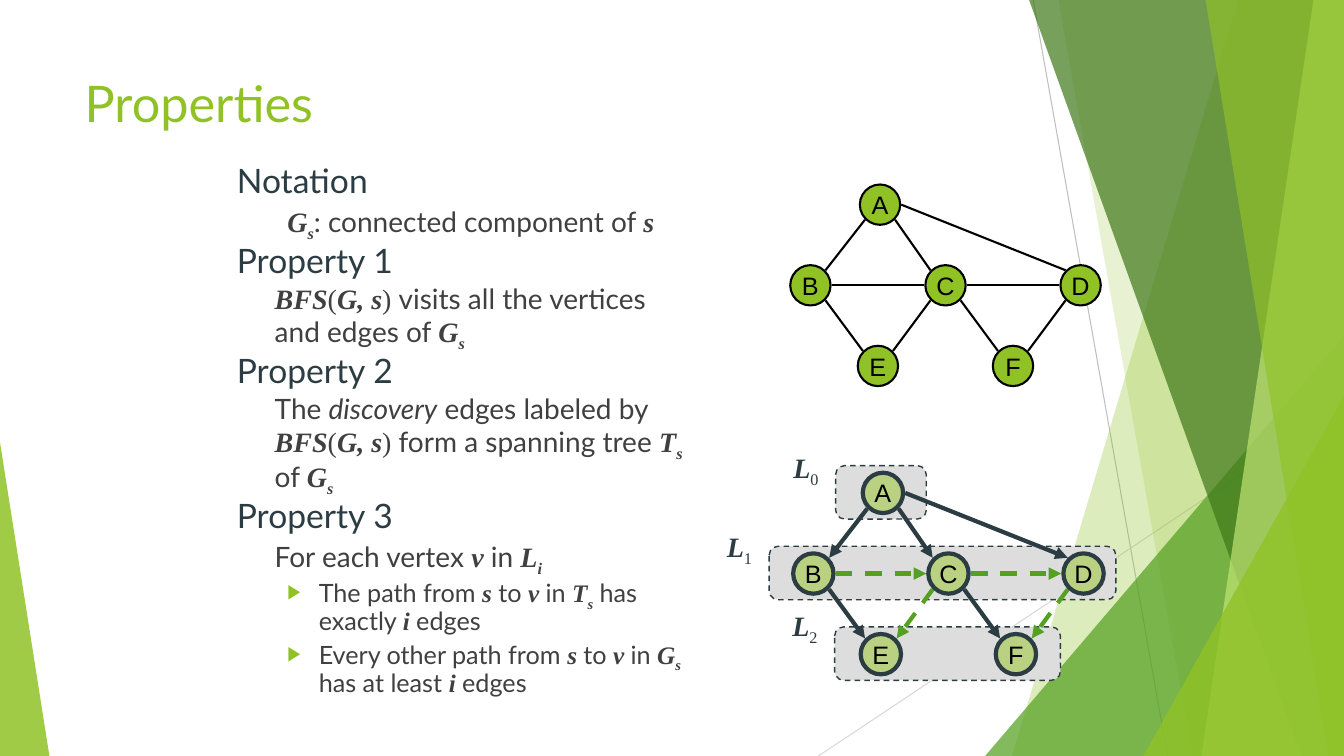
from lxml.etree import SubElement
from pptx import Presentation
from pptx.dml.color import RGBColor
from pptx.enum.dml import MSO_LINE
from pptx.enum.shapes import MSO_CONNECTOR, MSO_SHAPE
from pptx.enum.text import MSO_ANCHOR, MSO_AUTO_SIZE, PP_ALIGN
from pptx.oxml.ns import qn
from pptx.util import Pt

GREEN, LEAF, SLATE, BLACK = "90C226", "54A021", "2C3C43", "000000"
# Text style: font, bold, italic, baseline
STYLES = {
    "plain": ("Lato", False, False, 0),
    "italic": ("Lato", False, True, 0),
    "math": ("Times New Roman", True, True, 0),
    "sub": ("Times New Roman", True, True, -25000),
    "upright": ("Times New Roman", False, False, 0),
    "index": ("Times New Roman", False, False, -25000),
    "node": ("Arial", False, False, 0),
}


def color(value):
    return RGBColor.from_string(value)


class SlideBuilder:
    """Draws styled elements on one slide; all lengths are in points."""

    def __init__(self, presentation):
        self.slide = presentation.slides.add_slide(presentation.slide_layouts[1])
        self.shapes = self.slide.shapes

    def runs(self, paragraph, parts, size, ink):
        for text, style in parts:
            run = paragraph.add_run()
            run.text = text
            font = run.font
            font.name, font.bold, font.italic, baseline = STYLES[style]
            font.size = Pt(size)
            font.color.rgb = color(ink)
            if baseline:
                run._r.get_or_add_rPr().set("baseline", str(baseline))

    def paint(self, shape, fill, opacity=100, line=None, weight=1.0, dash=None):
        shape.shadow.inherit = False
        shape.fill.solid()
        shape.fill.fore_color.rgb = color(fill)
        if opacity < 100:
            fill_color = shape._element.spPr.find(qn("a:solidFill"))[0]
            SubElement(fill_color, qn("a:alpha"), val=str(opacity * 1000))
        if line is None:
            shape.line.fill.background()
            return
        shape.line.color.rgb = color(line)
        shape.line.width = Pt(weight)
        if dash:
            shape.line.dash_style = dash

    def preset(self, kind, left, top, width, height, adjust=None, **look):
        shape = self.shapes.add_shape(kind, Pt(left), Pt(top), Pt(width), Pt(height))
        if adjust is not None:
            shape.adjustments[0] = adjust
        self.paint(shape, **look)
        return shape

    def polygon(self, points, fill, opacity):
        corners = [(Pt(x), Pt(y)) for x, y in points]
        builder = self.shapes.build_freeform(*corners[0], scale=1.0)
        builder.add_line_segments(corners[1:], close=True)
        self.paint(builder.convert_to_shape(), fill, opacity)

    def line(self, start, end, ink, weight, dashed=False, arrow=False):
        connector = self.shapes.add_connector(
            MSO_CONNECTOR.STRAIGHT, *[Pt(value) for value in (*start, *end)])
        connector.line.color.rgb = color(ink)
        connector.line.width = Pt(weight)
        if dashed:
            connector.line.dash_style = MSO_LINE.DASH
        if arrow:
            outline = connector._element.spPr.find(qn("a:ln"))
            SubElement(outline, qn("a:tailEnd"), type="triangle")
        SubElement(connector._element.spPr, qn("a:effectLst"))

    def node(self, center, radius, letter, **look):
        x, y = center
        shape = self.preset(MSO_SHAPE.OVAL, x - radius, y - radius,
                            2 * radius, 2 * radius, **look)
        frame = shape.text_frame
        frame.word_wrap = False
        frame.vertical_anchor = MSO_ANCHOR.MIDDLE
        frame.paragraphs[0].alignment = PP_ALIGN.CENTER
        self.runs(frame.paragraphs[0], [(letter, "node")], 18, BLACK)

    def label(self, left, top, width, height, parts):
        box = self.shapes.add_textbox(Pt(left), Pt(top), Pt(width), Pt(height))
        box.text_frame.word_wrap = True
        paragraph = box.text_frame.paragraphs[0]
        paragraph.alignment = PP_ALIGN.CENTER
        self.runs(paragraph, parts, 20, SLATE)

    def placeholder(self, index, left, top, width, height):
        shape = self.slide.placeholders[index]
        shape.left, shape.top = Pt(left), Pt(top)
        shape.width, shape.height = Pt(width), Pt(height)
        frame = shape.text_frame
        frame.word_wrap = True
        frame.auto_size = MSO_AUTO_SIZE.NONE
        frame.vertical_anchor = MSO_ANCHOR.TOP
        return frame

    def title(self, text, *place):
        paragraph = self.placeholder(0, *place).paragraphs[0]
        paragraph.alignment = PP_ALIGN.LEFT
        self.runs(paragraph, [(text, "plain")], 36, GREEN)

    def body(self, items, *place):
        # Kind: level, margin, indent, size, colour, bullet
        kinds = {
            "heading": (0, 27, -27, 24, SLATE, False),
            "note": (1, 58.5, -22.5, 20, "404040", False),
            "text": (0, 27, 0, 20, "404040", False),
            "bullet": (1, 58.5, -22.5, 18, "404040", True),
        }
        frame = self.placeholder(1, *place)
        for number, (kind, parts) in enumerate(items):
            level, margin, indent, size, ink, bullet = kinds[kind]
            paragraph = frame.add_paragraph() if number else frame.paragraphs[0]
            properties = paragraph._p.get_or_add_pPr()
            properties.set("marL", str(Pt(margin)))
            properties.set("indent", str(Pt(indent)))
            if bullet:
                bullet_color = SubElement(properties, qn("a:buClr"))
                SubElement(bullet_color, qn("a:srgbClr"), val=GREEN)
                SubElement(properties, qn("a:buSzPct"), val="80000")
                SubElement(properties, qn("a:buChar"), char="▶")
            else:
                SubElement(properties, qn("a:buNone"))
            paragraph.level = level
            paragraph.line_spacing = 0.9
            paragraph.space_before = Pt(0.15 * size if number else 0)
            self.runs(paragraph, parts, size, ink)

    def graph(self, left, top, fill, ink, weight, tree=False):
        radius = 14.4
        places = {"A": (49.7, 0), "B": (0, 57.6), "C": (96.5, 57.6),
                  "D": (193, 57.6), "E": (48.2, 115.2), "F": (144.7, 115.2)}
        centers = {name: (left + x, top + y) for name, (x, y) in places.items()}
        # Edges leave and enter nodes on the sides or at 45 degrees
        reach = radius + weight / 2
        slant = reach * 0.71
        sides = {"left": (-reach, 0), "right": (reach, 0),
                 "top left": (-slant, -slant), "top right": (slant, -slant),
                 "bottom left": (-slant, slant), "bottom right": (slant, slant)}
        edges = [("AB", "bottom left", "top right"), ("AC", "bottom right", "top left"),
                 ("AD", "right", "top left"), ("BC", "right", "left"),
                 ("CD", "right", "left"), ("BE", "bottom right", "top left"),
                 ("CE", "bottom left", "top right"), ("CF", "bottom right", "top left"),
                 ("DF", "bottom left", "top right")]
        for pair, *ends in edges:
            start, end = [
                (centers[name][0] + sides[side][0], centers[name][1] + sides[side][1])
                for name, side in zip(pair, ends)]
            cross = tree and pair in ("BC", "CD", "CE", "DF")
            self.line(start, end, LEAF if cross else ink, weight, cross, tree)
        for name, center in centers.items():
            self.node(center, radius, name, fill=fill, line=ink, weight=weight)


def main():
    presentation = Presentation()
    presentation.slide_width, presentation.slide_height = Pt(960), Pt(540)
    builder = SlideBuilder(presentation)

    # Background facets
    builder.line((738, 0), (834, 540), "BFBFBF", 0.75)
    builder.line((960, 290), (584.6, 540), "D9D9D9", 0.75)
    triangle = MSO_SHAPE.ISOSCELES_TRIANGLE
    # Top-left x, bottom-left x, colour, opacity; all reach the right edge
    facets = [(884.2, 722.9, GREEN, 30), (756, 851.8, GREEN, 20),
              (735.1, 929.5, "3F7819", 70), (938.2, 858.2, "C0E474", 70),
              (861.1, 949, GREEN, 65)]
    for number, (upper, lower, fill, opacity) in enumerate(facets):
        if number == 2:
            builder.preset(triangle, 703.7, 239.8, 256.3, 300.2, 1, fill=LEAF, opacity=72)
        builder.polygon([(upper, 0), (960, 0), (960, 540), (lower, 540)], fill, opacity)
    builder.preset(triangle, 816.7, 283, 143.3, 257, 1, fill=GREEN, opacity=80)
    builder.preset(triangle, 0, 316, 35.3, 224, 0, fill=GREEN, opacity=85)

    # Title and properties
    builder.title("Properties", 53.3, 48, 676.9, 104)
    search = [("BFS", "math"), ("(", "upright"), ("G, s", "math"), (") ", "upright")]
    component = [("G", "math"), ("s", "sub")]
    path = [("s ", "math"), ("to ", "plain"), ("v ", "math"), ("in ", "plain")]
    edge_count = [("i", "math"), (" edges", "plain")]
    builder.body([
        ("heading", [("Notation", "plain")]),
        ("note", [*component, (": connected component of ", "plain"), ("s", "math")]),
        ("heading", [("Property 1", "plain")]),
        ("text", [*search, ("visits all the vertices and edges of ", "plain"), *component]),
        ("heading", [("Property 2", "plain")]),
        ("text", [("The ", "plain"), ("discovery", "italic"), (" edges labeled by ", "plain"),
                  *search, ("form a spanning tree ", "plain"), ("T", "math"), ("s", "sub"),
                  (" of ", "plain"), *component]),
        ("heading", [("Property 3", "plain")]),
        ("text", [("For each vertex ", "plain"), ("v", "math"), (" in ", "plain"),
                  ("L", "math"), ("i", "sub")]),
        ("bullet", [("The path from ", "plain"), *path, ("T", "math"), ("s", "sub"),
                    (" has exactly ", "plain"), *edge_count]),
        ("bullet", [("Every other path from ", "plain"), *path, ("G", "math"), ("s ", "sub"),
                    ("has at least ", "plain"), *edge_count]),
    ], 162, 114, 342, 396)

    # Levels of the search tree
    for level, (left, width) in enumerate([(596.9, 64.8), (549.4, 247.7), (596.2, 161.3)]):
        builder.preset(MSO_SHAPE.ROUNDED_RECTANGLE, left, 332.6 + 57.6 * level, width, 38.2,
                       0.17, fill="DDDDDD", line=SLATE, dash=MSO_LINE.DASH)
        builder.label(left - 39.6, 318.2 + 56.6 * level, 36.7, 31,
                      [("L", "math"), (str(level), "index")])

    # Graph and its search tree
    builder.graph(578.9, 146.2, GREEN, BLACK, 1.5)
    builder.graph(581, 352.1, "B9D181", SLATE, 3, tree=True)
    presentation.save("out.pptx")


if __name__ == "__main__":
    main()
